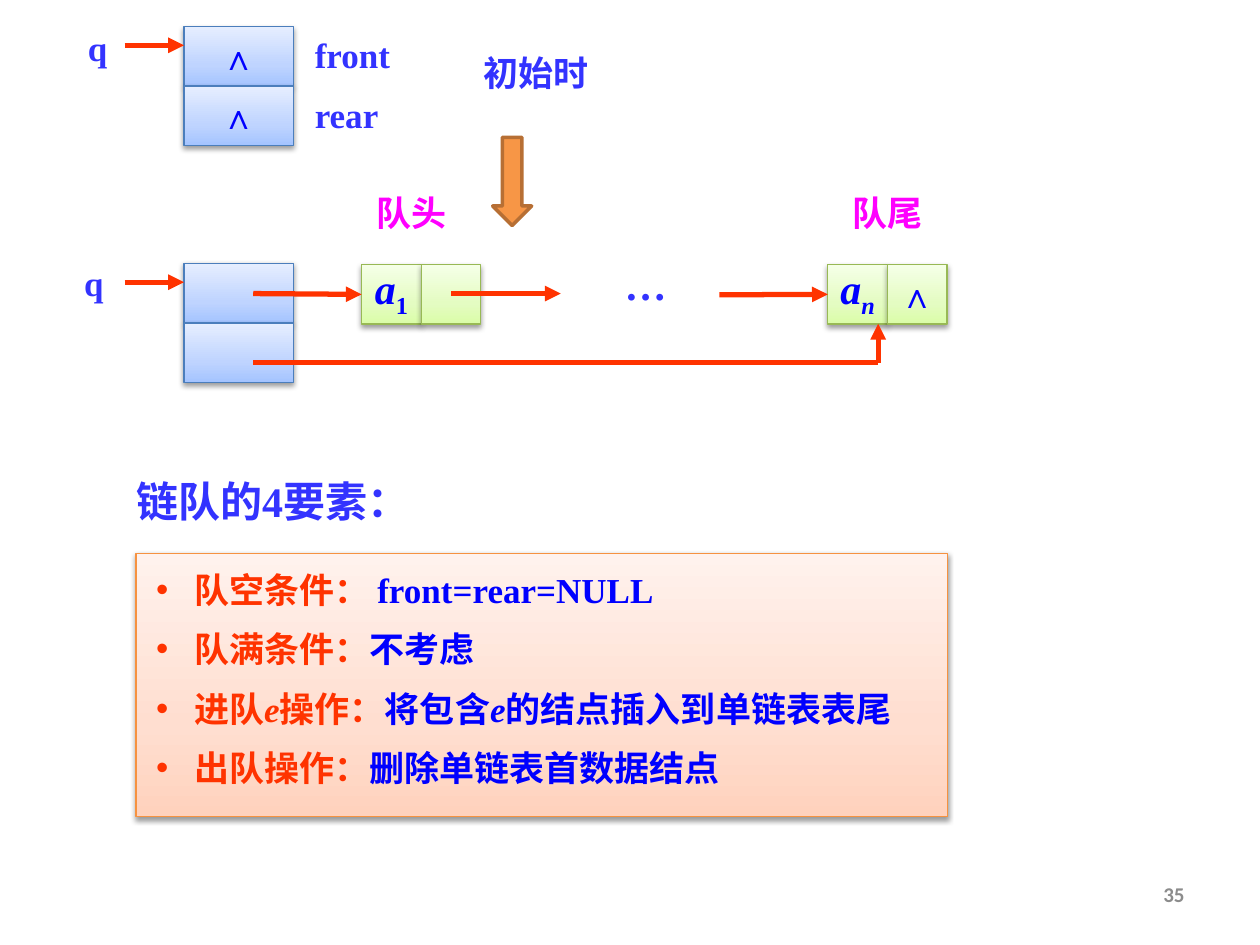
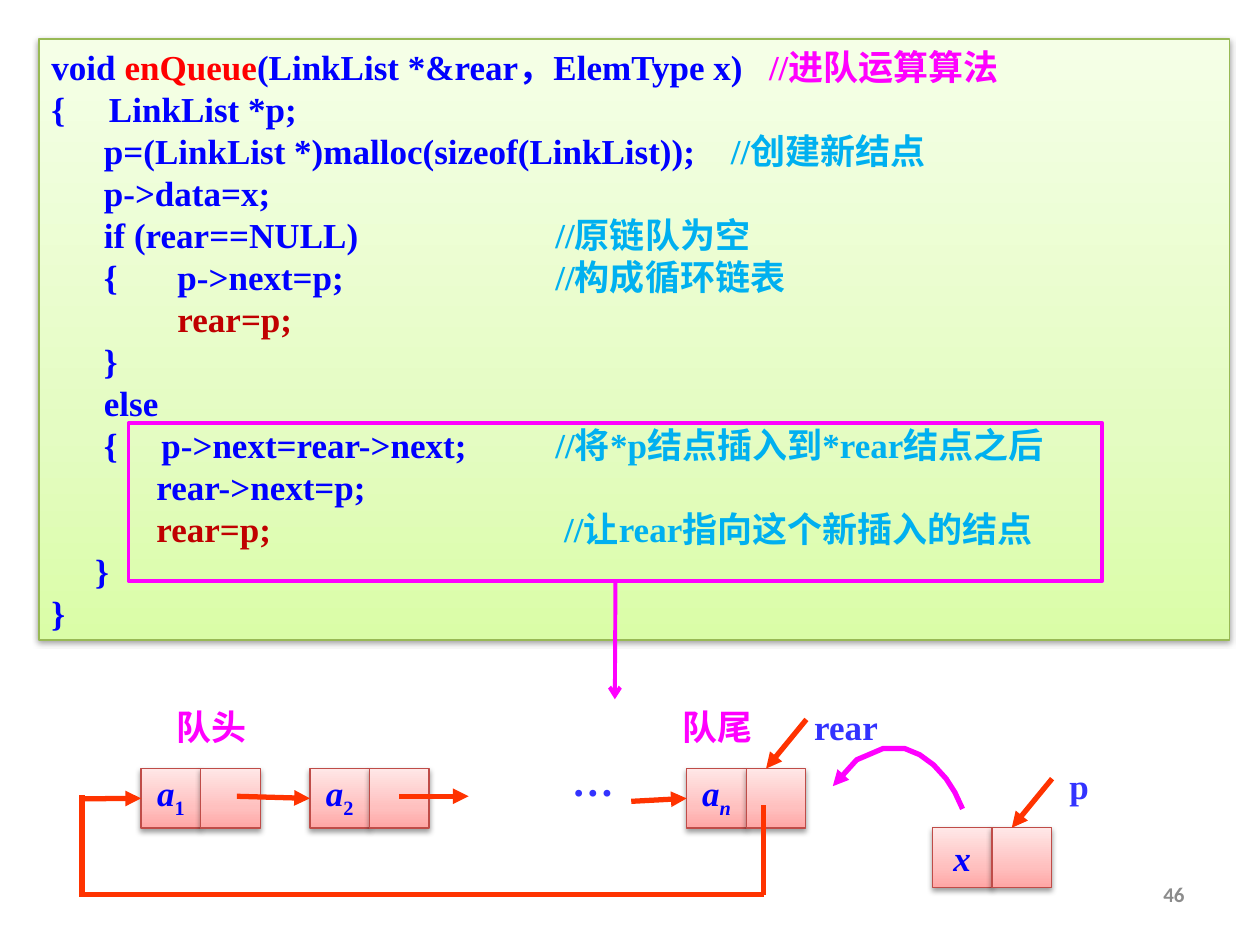
from copy import deepcopy

from lxml.etree import SubElement
from pptx import Presentation
from pptx.dml.color import RGBColor
from pptx.enum.shapes import MSO_CONNECTOR, MSO_SHAPE as SHAPE
from pptx.enum.text import MSO_ANCHOR as ANCHOR, MSO_AUTO_SIZE, PP_ALIGN as ALIGN
from pptx.oxml.ns import qn
from pptx.util import Inches, Pt

BLUE = RGBColor(0x00, 0x00, 0xFF)
INDIGO = RGBColor(0x33, 0x33, 0xFF)
SKY = RGBColor(0x00, 0xB0, 0xF0)
ORANGE_RED = RGBColor(0xFF, 0x33, 0x00)
RED = RGBColor(0xFF, 0x00, 0x00)
DARK_RED = RGBColor(0xC0, 0x00, 0x00)
MAGENTA = RGBColor(0xFF, 0x00, 0xFF)
GREY = RGBColor(0x8C, 0x8C, 0x8C)
ORANGE = RGBColor(0xF7, 0x96, 0x46)
BROWN = RGBColor(0xB7, 0x6F, 0x34)

# A tint is the outline followed by the gradient colours, bottom to top.
BLUE_TINT = [RGBColor.from_string(c) for c in ("4B7EBC", "A4C4FF", "BFD4FF", "E6EEFF")]
GREEN_TINT = [RGBColor.from_string(c) for c in ("98B955", "DAFDA7", "E4FCC2", "F5FFE7")]
PINK_TINT = [RGBColor.from_string(c) for c in ("BF4C48", "FFA6A5", "FFC0BF", "FFE7E7")]
PEACH_TINT = [RGBColor.from_string(c) for c in ("F69240", "FFD2BD", "FFDED0", "FFF2ED")]

SERIF, SANS, CJK = "Times New Roman", "Calibri", "Noto Sans CJK SC"
COLS, ROWS = 100, 75
CELL = 4.73
LABEL_H = 4.3
LEFT, BOTTOM = 1, 2


class Deck:
    """Shared style and the current slide; lengths are grid columns and rows."""

    def __init__(self):
        self.prs = Presentation()
        self.prs.slide_width, self.prs.slide_height = Inches(10), Inches(7.5)
        self.col = self.prs.slide_width / COLS
        self.row = self.prs.slide_height / ROWS

    def new_slide(self, layout, number):
        self.s = self.prs.slides.add_slide(self.prs.slide_layouts[layout])
        self.label(71.7, 69.5, 23.3, str(number), GREY, 12, ALIGN.RIGHT, SANS, 4)

    def point(self, x, y):
        return round(x * self.col), round(y * self.row)

    def box(self, x, y, w, h):
        return self.point(x, y) + self.point(w, h)

    def place(self, sp, x, y, w, h):
        sp.left, sp.top, sp.width, sp.height = self.box(x, y, w, h)
        sp.text_frame.auto_size = MSO_AUTO_SIZE.NONE
        sp.text_frame.vertical_anchor = ANCHOR.TOP
        return sp

    def set_text(self, tf, paragraphs, size=20, align=ALIGN.LEFT, font=SERIF, gap=10):
        """Each paragraph is a list of (text, colour, flags): i italic, s subscript."""
        for i, runs in enumerate(paragraphs):
            p = tf.paragraphs[0] if i == 0 else tf.add_paragraph()
            p.alignment, p.line_spacing = align, Pt(size * 1.2)
            p.space_before = Pt(gap if i else 0)
            for text, color, flags in runs:
                r = p.add_run()
                r.text = text
                f = r.font
                f.name, f.size, f.bold, f.italic = font, Pt(size), True, "i" in flags
                f.color.rgb = color
                rpr = r._r.get_or_add_rPr()
                SubElement(rpr, qn("a:ea")).set("typeface", CJK)
                if "s" in flags:
                    rpr.set("baseline", "-25000")

    def label(self, x, y, w, text, color=INDIGO, size=20, align=ALIGN.CENTER,
              font=SERIF, h=LABEL_H):
        tf = self.s.shapes.add_textbox(*self.box(x, y, w, h)).text_frame
        tf.word_wrap = True
        lines = [[(line, color, "")] for line in text.split("\n")]
        self.set_text(tf, lines, size, align, font)

    def title(self, x, y, w, h, text):
        sp = self.place(self.s.shapes.title, x, y, w, h)
        self.set_text(sp.text_frame, [[(text, INDIGO, "")]], 24)

    def bullets(self, x, y, w, h, items, tint):
        sp = self.place(self.s.placeholders[1], x, y, w, h)
        self.tint(sp, tint)
        tf = sp.text_frame
        tf.margin_left, tf.margin_right = Inches(0.16), Inches(0.1)
        tf.margin_top = tf.margin_bottom = Inches(0.12)
        self.set_text(tf, items)
        for p in tf.paragraphs:
            ppr = p._p.get_or_add_pPr()
            ppr.set("marL", str(Inches(0.3)))
            ppr.set("indent", str(-Inches(0.3)))
            SubElement(ppr, qn("a:buChar")).set("char", "•")

    def tint(self, sp, tint):
        """Give a shape its outline, upward gradient and soft shadow."""
        outline, *colors = tint
        sp.fill.gradient()
        sp.fill.gradient_angle = 90
        stops = sp._element.spPr.find(qn("a:gradFill")).find(qn("a:gsLst"))
        stops.append(deepcopy(stops[0]))
        for stop, pos, color in zip(sp.fill.gradient_stops, (0, 0.35, 1), colors):
            stop.position, stop.color.rgb = pos, color
        sp.line.color.rgb, sp.line.width = outline, Pt(0.75)
        sp.shadow.inherit = False
        shadow = SubElement(sp._element.spPr.find(qn("a:effectLst")), qn("a:outerShdw"),
                            blurRad="40000", dist="20000", dir="5400000", rotWithShape="0")
        black = SubElement(shadow, qn("a:srgbClr"), val="000000")
        SubElement(black, qn("a:alpha"), val="38000")

    def rect(self, x, y, w, h, tint, runs=(), size=20):
        sp = self.s.shapes.add_shape(SHAPE.RECTANGLE, *self.box(x, y, w, h))
        self.tint(sp, tint)
        if runs:
            sp.text_frame.word_wrap = False
            sp.text_frame.vertical_anchor = ANCHOR.MIDDLE
            self.set_text(sp.text_frame, [runs], size, ALIGN.CENTER)
        return sp

    def plain(self, kind, x, y, w, h, line, width, fill=None):
        sp = self.s.shapes.add_shape(kind, *self.box(x, y, w, h))
        sp.shadow.inherit = False
        if fill is None:
            sp.fill.background()
        else:
            sp.fill.solid()
            sp.fill.fore_color.rgb = fill
        sp.line.color.rgb, sp.line.width = line, Pt(width)
        return sp

    def code(self, x, y, w, h, lines, tint):
        sp = self.rect(x, y, w, h, tint)
        tf = sp.text_frame
        tf.word_wrap, tf.vertical_anchor = True, ANCHOR.TOP
        self.set_text(tf, lines, gap=0)
        for p in tf.paragraphs:
            tabs = SubElement(p._p.get_or_add_pPr(), qn("a:tabLst"))
            for inch in range(1, 5):
                SubElement(tabs, qn("a:tab"), pos=str(Inches(inch)), algn="l")

    def arrowhead(self, sp, head):
        SubElement(sp._element.spPr.find(qn("a:ln")), qn("a:tailEnd"), type=head)

    def line(self, start, end, head="triangle", color=ORANGE_RED, width=3,
             out_of=None, into=None):
        """Straight line; out_of and into are (shape, side) pairs to join."""
        c = self.s.shapes.add_connector(MSO_CONNECTOR.STRAIGHT,
                                        *self.point(*start), *self.point(*end))
        if out_of:
            c.begin_connect(*out_of)
        if into:
            c.end_connect(*into)
        c.line.color.rgb, c.line.width = color, Pt(width)
        SubElement(c._element.spPr, qn("a:effectLst"))
        if head:
            self.arrowhead(c, head)

    def curve(self, points, color):
        start, *rest = [self.point(*pt) for pt in points]
        fb = self.s.shapes.build_freeform(*start)
        fb.add_line_segments(rest, close=False)
        sp = fb.convert_to_shape()
        sp.fill.background()
        sp.shadow.inherit = False
        sp.line.color.rgb, sp.line.width = color, Pt(3)
        self.arrowhead(sp, "triangle")

    def node(self, x, y, tint, data, link=(), size=20):
        """Data cell and link cell side by side; returns the data cell."""
        cell = self.rect(x, y, CELL, CELL, tint, data, size)
        self.rect(x + CELL, y, CELL, CELL, tint, link)
        return cell

    def queue_head(self, y, q_x, q_y, mark=()):
        for i in range(2):
            self.rect(14.6, y + i * CELL, 8.7, CELL, BLUE_TINT, mark)
        self.line((9.9, y + 1.5), (14.6, y + 1.5))
        self.label(q_x, q_y, 4.7, "q")


def item(sub, flags="i"):
    return [("a", BLUE, "i"), (sub, BLUE, "s" + flags)]


def linked_queue(d):
    d.new_slide(1, 35)
    d.bullets(10.8, 43.9, 64.4, 20.9, [
        [("队空条件： ", ORANGE_RED, ""), ("front=rear=NULL", BLUE, "")],
        [("队满条件：", ORANGE_RED, ""), ("不考虑", BLUE, "")],
        [("进队", ORANGE_RED, ""), ("e", ORANGE_RED, "i"), ("操作：", ORANGE_RED, ""),
         ("将包含", BLUE, ""), ("e", BLUE, "i"), ("的结点插入到单链表表尾", BLUE, "")],
        [("出队操作：", ORANGE_RED, ""), ("删除单链表首数据结点", BLUE, "")],
    ], PEACH_TINT)
    d.title(9.8, 37.2, 59.1, 5, "链队的4要素：")

    null = [("∧", BLUE, "")]
    d.queue_head(2.1, 5.4, 1.6, null)
    d.label(24, 2.2, 15, "front\nrear", align=ALIGN.LEFT, h=9.3)
    d.label(37.4, 3.6, 12.6, "初始时", align=ALIGN.LEFT, font=CJK)
    d.plain(SHAPE.DOWN_ARROW, 39.1, 10.9, 3.1, 7, BROWN, 2, ORANGE)

    d.queue_head(20.9, 5.1, 20.3)
    first = d.node(28.7, 21, GREEN_TINT, item("1", ""), size=24)
    last = d.node(65.7, 21, GREEN_TINT, item("n"), null, 24)
    d.line((20.1, 23.3), (28.7, 23.3), into=(first, LEFT))
    d.line((35.8, 23.3), (44.5, 23.3))
    d.line((57.1, 23.4), (65.7, 23.4), into=(last, LEFT))
    d.line((20.1, 28.8), (69.7, 28.8), None)
    d.line((69.7, 28.8), (69.7, 25.7))
    d.label(46.9, 20, 8.7, "…", size=24, h=5)
    for x, text in ((28.7, "队头"), (66.5, "队尾")):
        d.label(x, 14.7, 7.9, text, MAGENTA, font=CJK)


def enqueue(d):
    d.new_slide(6, 46)
    d.code(3.1, 3.1, 94.5, 47.7, [
        [("void ", BLUE, ""), ("enQueue", RED, ""),
         ("(LinkList *&rear，ElemType x)   ", BLUE, ""), ("//进队运算算法", MAGENTA, "")],
        [("{     LinkList *p;", BLUE, "")],
        [("      p=(LinkList *)malloc(sizeof(LinkList));    ", BLUE, ""),
         ("//创建新结点", SKY, "")],
        [("      p->data=x;", BLUE, "")],
        [("      if (rear==NULL)\t\t", BLUE, ""), ("//原链队为空", SKY, "")],
        [("      {\tp->next=p;\t\t", BLUE, ""), ("//构成循环链表", SKY, "")],
        [("\trear=p;", DARK_RED, "")],
        [("      }", BLUE, "")],
        [("      else", BLUE, "")],
        [("      {     p->next=rear->next;\t", BLUE, ""),
         ("//将*p结点插入到*rear结点之后", SKY, "")],
        [("            rear->next=p;", BLUE, "")],
        [("            rear=p;\t\t\t ", DARK_RED, ""),
         ("//让rear指向这个新插入的结点", SKY, "")],
        [("     }", BLUE, "")],
        [("}", BLUE, "")],
    ], GREEN_TINT)

    first, second, last = [d.node(x, 61, PINK_TINT, item(sub, flags))
                           for x, sub, flags in ((11.2, "1", ""), (24.6, "2", ""),
                                                 (54.5, "n", "i"))]
    d.node(74, 65.7, PINK_TINT, [("x", BLUE, "i")])
    d.line((18.8, 63.2), (24.6, 63.2), into=(second, LEFT))
    d.line((31.7, 63.2), (37.2, 63.2))
    d.line((50.1, 63.6), (54.5, 63.4), into=(last, LEFT))
    d.label(42.7, 59.4, 8.7, "…", size=24, h=5)

    d.line((60.6, 63.9), (60.6, 71), None)
    d.line((60.6, 71), (6.3, 71), None)
    d.line((6.5, 71.1), (6.5, 63.1), None)
    d.line((6.5, 63.4), (11.2, 63.4), into=(first, LEFT))

    d.line((64, 57.1), (60.8, 61))
    d.line((83.5, 61.8), (80.3, 65.7))
    d.label(62.8, 55.5, 8.7, "rear")
    d.label(83.3, 60.2, 4.7, "p")
    for x, text in ((12, "队头"), (52.2, "队尾")):
        d.label(x, 55.5, 9.5, text, MAGENTA, font=CJK)

    d.curve([(76.4, 64.2), (75.8, 62.9), (75.1, 61.8), (74.1, 60.7), (73, 59.9),
             (71.8, 59.4), (70.1, 59.4), (68, 60.3), (66.1, 62.4)], MAGENTA)
    frame = d.plain(SHAPE.RECTANGLE, 10.2, 33.6, 77.3, 12.5, MAGENTA, 2.25)
    d.line((48.8, 46.1), (48.8, 55.5), "arrow", MAGENTA, 2.25, out_of=(frame, BOTTOM))


def main():
    d = Deck()
    linked_queue(d)
    enqueue(d)
    d.prs.save("out.pptx")


if __name__ == "__main__":
    main()
